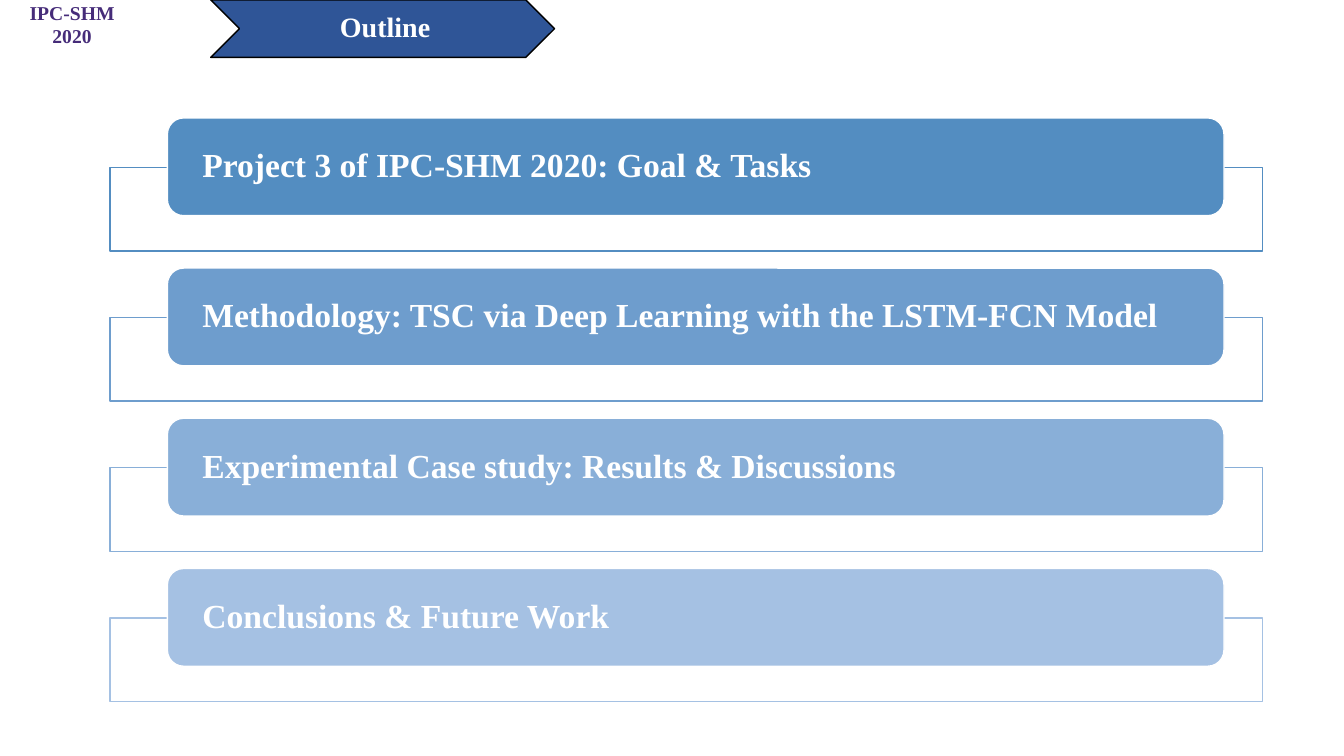
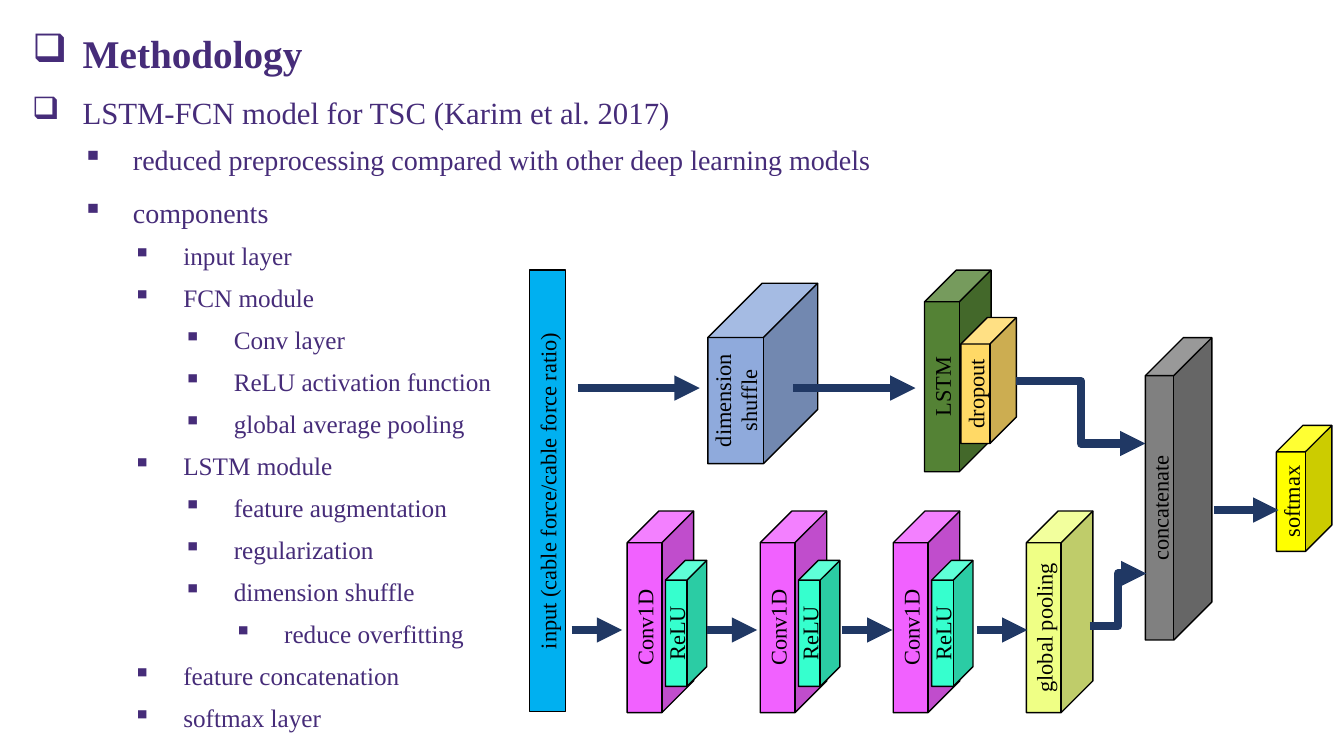
from lxml.etree import SubElement
from pptx import Presentation
from pptx.dml.color import RGBColor as RGB
from pptx.enum.shapes import MSO_CONNECTOR as LINK, MSO_SHAPE as KIND
from pptx.enum.text import MSO_ANCHOR as ANCHOR, MSO_AUTO_SIZE as FIT, PP_ALIGN as ALIGN
from pptx.oxml.ns import qn
from pptx.util import Inches, Pt

FONT = "Times New Roman"
WHITE = RGB(0xFF, 0xFF, 0xFF)
BLACK = RGB(0x00, 0x00, 0x00)
PURPLE = RGB(0x46, 0x2C, 0x79)
NAVY = RGB(0x20, 0x38, 0x64)
BLUE = RGB(0x2F, 0x55, 0x97)
SKY = RGB(0x00, 0xB0, 0xF0)
STEEL = RGB(0x8F, 0xAA, 0xDC)
GREEN = RGB(0x54, 0x82, 0x35)
GOLD = RGB(0xFF, 0xD9, 0x66)
PINK = RGB(0xF1, 0x61, 0xFF)
MINT = RGB(0x36, 0xFF, 0xCE)
LIME = RGB(0xEF, 0xFF, 0x85)
GREY = RGB(0x80, 0x80, 0x80)
YELLOW = RGB(0xFF, 0xFF, 0x00)

TOPICS = [
    ("Project 3 of IPC-SHM 2020: Goal & Tasks", RGB(0x53, 0x8D, 0xC1)),
    ("Methodology: TSC via Deep Learning with the LSTM-FCN Model", RGB(0x6E, 0x9D, 0xCD)),
    ("Experimental Case study: Results & Discussions", RGB(0x89, 0xAF, 0xD8)),
    ("Conclusions & Future Work", RGB(0xA5, 0xC1, 0xE3)),
]
POINTS = [
    (0, "LSTM-FCN model for TSC (Karim et al. 2017)"),
    (1, "reduced preprocessing compared with other deep learning models"),
    (1, "components"),
    (2, "input layer"),
    (2, "FCN module"),
    (3, "Conv layer"),
    (3, "ReLU activation function"),
    (3, "global average pooling"),
    (2, "LSTM module"),
    (3, "feature augmentation"),
    (3, "regularization"),
    (3, "dimension shuffle"),
    (4, "reduce overfitting"),
    (2, "feature concatenation"),
    (2, "softmax layer"),
]


def write(par, text, size=16, color=BLACK, bold=False, align=ALIGN.LEFT, lead=1.0):
    """Put formatted text in a paragraph."""
    run = par.add_run()
    run.text = text
    font = run.font
    font.name, font.size, font.bold = FONT, Pt(size), bold
    font.color.rgb = color
    par.alignment, par.line_spacing = align, lead


def frame(shape, anchor=ANCHOR.MIDDLE, inset=(0.1, 0.05, 0.1, 0.05)):
    """Set up a text frame and return its first paragraph."""
    box = shape.text_frame
    box.word_wrap, box.auto_size, box.vertical_anchor = True, FIT.NONE, anchor
    sides = map(Inches, inset)
    box.margin_left, box.margin_top, box.margin_right, box.margin_bottom = sides
    return box.paragraphs[0]


def mark(par, sign, level=0):
    """Give a paragraph a hanging bullet."""
    par.level = level
    props = par._p.get_or_add_pPr()
    props.set("marL", str(Inches(0.5 + 0.5 * level)))
    props.set("indent", str(Inches(-0.5)))
    SubElement(props, qn("a:buChar")).set("char", sign)


def head(slide, left, top, width, height, **style):
    """Place the title and return its paragraph."""
    title = slide.shapes.title
    title.left, title.top = Inches(left), Inches(top)
    title.width, title.height = Inches(width), Inches(height)
    return frame(title, **style)


def block(slide, kind, left, top, width, height, fill, line=BLACK):
    """Draw a filled and outlined shape."""
    shape = slide.shapes.add_shape(
        kind, Inches(left), Inches(top), Inches(width), Inches(height))
    shape.shadow.inherit = False
    shape.fill.solid()
    shape.fill.fore_color.rgb = fill
    shape.line.color.rgb = line
    shape.line.width = Pt(1)
    return shape


def label(shape, text, lead=1.0):
    """Write upward text on a shape."""
    write(frame(shape), text, align=ALIGN.CENTER, lead=lead)
    shape.text_frame._txBody.bodyPr.set("vert", "vert270")


def cube(slide, text, left, top, width, height, fill, depth=0.477, lead=1.0):
    """Draw a network layer as a labelled cube."""
    shape = block(slide, KIND.CUBE, left, top, width, height, fill)
    shape.adjustments[0] = depth
    label(shape, text, lead)


def arrow(slide, x1, y1, x2, y2, kind=LINK.STRAIGHT):
    """Draw a thick arrow."""
    link = slide.shapes.add_connector(
        kind, Inches(x1), Inches(y1), Inches(x2), Inches(y2))
    link.line.color.rgb = NAVY
    link.line.width = Pt(6)
    props = link.element.spPr
    SubElement(props.find(qn("a:ln")), qn("a:tailEnd")).set("type", "triangle")
    SubElement(props, qn("a:effectLst"))


def textbox(slide, left, top, width, height, **style):
    """Add a text box and return its first paragraph."""
    box = slide.shapes.add_textbox(
        Inches(left), Inches(top), Inches(width), Inches(height))
    return frame(box, **style), box.text_frame


def outline(slide):
    """Build the outline slide."""
    for row, (text, color) in enumerate(TOPICS):
        top = 1.17 + 1.49 * row
        block(slide, KIND.RECTANGLE, 1.09, top + 0.49, 11.43, 0.83, WHITE, color)
        bar = block(slide, KIND.ROUNDED_RECTANGLE, 1.66, top, 10.48, 0.97, color, WHITE)
        write(frame(bar, inset=(0.3, 0, 0.3, 0)), text, size=24, color=WHITE,
              bold=True, lead=0.9)
    band = block(slide, KIND.CHEVRON, 2.09, 0, 3.41, 0.57, BLUE)
    slide.shapes.title.element.addprevious(band.element)
    par = head(slide, 2.37, 0, 2.84, 0.57, inset=(0.09, 0.03, 0.03, 0.03))
    write(par, "Outline", size=20, color=WHITE, bold=True, align=ALIGN.CENTER, lead=0.9)
    par, _ = textbox(slide, 0.02, -0.01, 1.39, 0.5)
    write(par, "IPC-SHM 2020", size=14, color=PURPLE, bold=True, align=ALIGN.CENTER)


def points(slide):
    """Write the heading and the bullet list."""
    par = head(slide, 0.22, 0.01, 12.88, 0.75, anchor=ANCHOR.TOP)
    write(par, "Methodology", size=28, color=PURPLE, bold=True, lead=1.5)
    mark(par, "❑")
    par, box = textbox(slide, 0.22, 0.7, 12.88, 6.75, anchor=ANCHOR.TOP)
    for row, (level, text) in enumerate(POINTS):
        if row:
            par = box.add_paragraph()
            par.space_before, par.space_after = Pt(12), Pt(6)
        size, lead = {0: (22, 1.5), 1: (20, Pt(20))}.get(level, (18, Pt(12)))
        write(par, text, size=size, color=PURPLE, lead=lead)
        mark(par, "▪" if level else "❑", level)


def network(slide):
    """Draw the layers and the arrows between them."""
    cube(slide, "dimension shuffle", 7.02, 2.81, 1.09, 1.79, STEEL, 0.494, Pt(18.6))
    cube(slide, "LSTM", 9.17, 2.68, 0.66, 2, GREEN)
    cube(slide, "dropout", 9.53, 3.15, 0.55, 1.25, GOLD)
    feed = block(slide, KIND.RECTANGLE, 5.25, 2.68, 0.36, 4.38, SKY)
    label(feed, "input (cable force/cable force ratio)")
    left, step = 6.22, 1.32
    for col in range(3):
        cube(slide, "Conv1D", left + step * col, 5.07, 0.66, 2, PINK)
        cube(slide, "ReLU", left + step * col + 0.38, 5.56, 0.41, 1.25, MINT)
    cube(slide, "global pooling", left + step * 3, 5.07, 0.66, 2, LIME)
    cube(slide, "concatenate", 11.36, 3.35, 0.66, 3, GREY, 0.572)
    cube(slide, "softmax", 12.66, 4.22, 0.55, 1.25, YELLOW)

    arrow(slide, 10.08, 3.78, 11.36, 4.4, LINK.ELBOW)
    for start in (5.73, 7.87):
        arrow(slide, start, 3.85, start + 1.21, 3.85)
    for col in range(4):
        start = 5.67 + 1.34 * col
        arrow(slide, start, 6.25, start + 0.5, 6.25)
    arrow(slide, 10.81, 6.21, 11.37, 5.69, LINK.ELBOW)
    arrow(slide, 12.04, 5.06, 12.68, 5.06)


def main():
    """Build and save the deck."""
    deck = Presentation()
    deck.slide_width, deck.slide_height = Inches(13.33), Inches(7.5)
    layout = deck.slide_layouts.get_by_name("Title Only")
    outline(deck.slides.add_slide(layout))
    method = deck.slides.add_slide(layout)
    points(method)
    network(method)
    deck.save("out.pptx")


if __name__ == "__main__":
    main()
